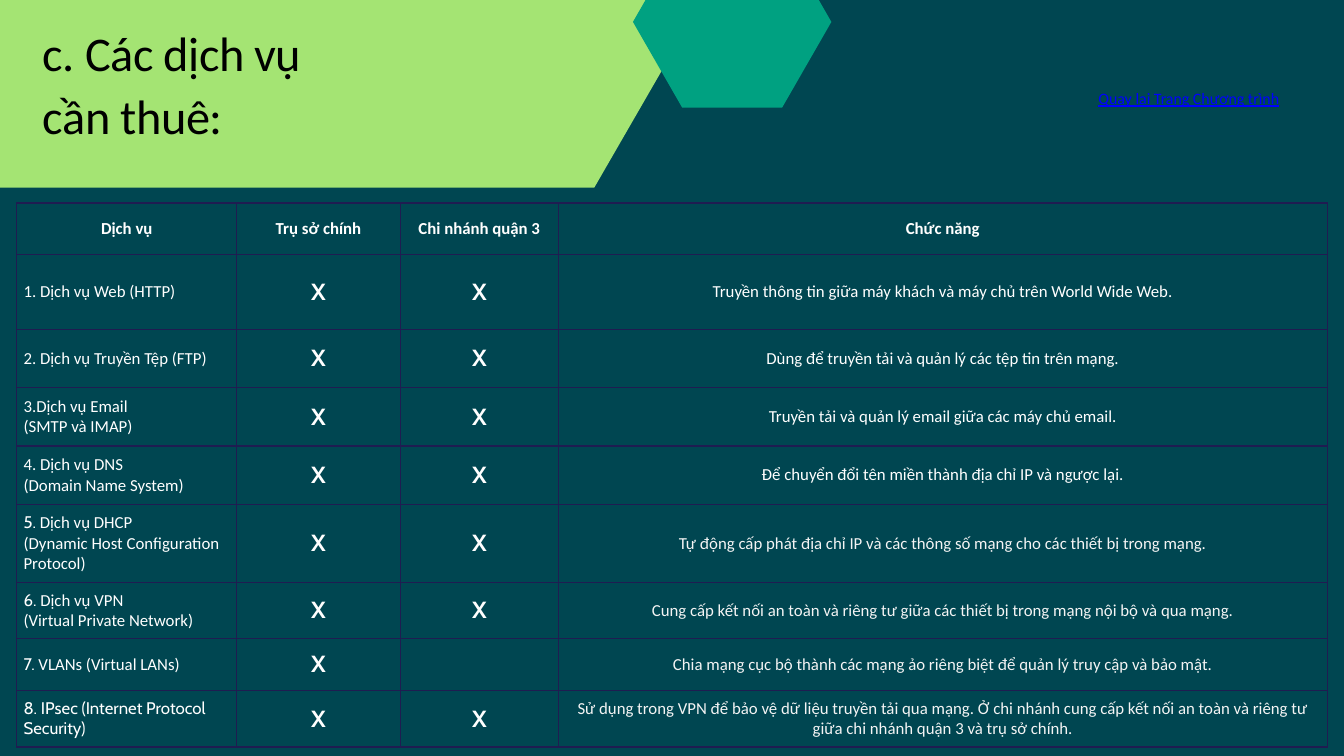
"""Build the slide listing the network services to rent for each office."""
from dataclasses import dataclass
from typing import Optional

from lxml import etree
from pptx import Presentation
from pptx.dml.color import RGBColor
from pptx.enum import text as t
from pptx.oxml import ns
from pptx.util import Pt

BACKGROUND = "004651"
BORDER = "1F1C51"
WHITE = "FFFFFF"
PALE = "F4F4F4"
LEFT, CENTER, RIGHT = t.PP_ALIGN.LEFT, t.PP_ALIGN.CENTER, t.PP_ALIGN.RIGHT


@dataclass(frozen=True)
class Hexagon:
    left: float
    top: float
    width: float
    height: float
    inset: float
    color: str


@dataclass(frozen=True)
class Style:
    size: float
    color: str = WHITE
    font: str = "Calibri"
    bold: bool = False
    underline: bool = False
    align: t.PP_ALIGN = CENTER
    leading: Optional[float] = None
    tracking: Optional[int] = None


@dataclass(frozen=True)
class Service:
    height: float
    lead: str
    name: str
    purpose: str
    color: str = PALE
    branch: str = "X"


HEXAGONS = [
    Hexagon(-229.7, -289.4, 1008, 490.3, 141.5, "A4E473"),
    Hexagon(678.2, -68.4, 212.6, 183.8, 52.8, "00A181"),
]
TITLE = Style(51.8, "000000", align=LEFT, leading=67.3, tracking=-50)
LINK = Style(17, "0000FF", underline=True, align=RIGHT, leading=23.8)
HEADING = Style(18, bold=True)
NAME = Style(18, align=LEFT)
MARK = Style(25, font="Cabin", bold=True)

HEADINGS = ["Dịch vụ", "Trụ sở chính", "Chi nhánh quận 3", "Chức năng"]
WIDTHS = [235.7, 175.2, 169.4, 823.7]
HEADING_HEIGHT = 55.4
SERVICES = [
    Service(79.9, "", "1. Dịch vụ Web (HTTP)",
            "Truyền thông tin giữa máy khách và máy chủ trên World Wide Web.", WHITE),
    Service(62.6, "", "2. Dịch vụ Truyền Tệp (FTP)",
            "Dùng để truyền tải và quản lý các tệp tin trên mạng.", WHITE),
    Service(62.6, "", "3.Dịch vụ Email\n(SMTP và IMAP)",
            "Truyền tải và quản lý email giữa các máy chủ email.", WHITE),
    Service(62.6, "", "4. Dịch vụ DNS\n(Domain Name System)",
            "Để chuyển đổi tên miền thành địa chỉ IP và ngược lại.", WHITE),
    Service(83.5, "5.", " Dịch vụ DHCP\n(Dynamic Host Configuration Protocol)",
            "Tự động cấp phát địa chỉ IP và các thông số mạng cho các thiết bị trong mạng."),
    Service(60.5, "6.", " Dịch vụ VPN\n(Virtual Private Network)",
            "Cung cấp kết nối an toàn và riêng tư giữa các thiết bị trong mạng nội bộ và qua mạng."),
    Service(55.4, "7. ", "VLANs (Virtual LANs)",
            "Chia mạng cục bộ thành các mạng ảo riêng biệt để quản lý truy cập và bảo mật.",
            branch=""),
    Service(60.5, "8. IPsec (Internet Protocol Security)", "",
            "Sử dụng trong VPN để bảo vệ dữ liệu truyền tải qua mạng. Ở chi nhánh cung cấp "
            "kết nối an toàn và riêng tư giữa chi nhánh quận 3 và trụ sở chính."),
]


def paint(fill, color: str) -> None:
    """Fill with one solid colour."""
    fill.solid()
    fill.fore_color.rgb = RGBColor.from_string(color)


def write(frame, wording: str, style: Style, lead: str = "") -> None:
    """Write paragraphs in one style, with an optional lead set in Cabin."""
    frame.text = lead + wording
    if lead:
        first = frame.paragraphs[0]
        rest = first.text[len(lead):]
        first.text = lead
        if rest:
            first.add_run().text = rest
    for para in frame.paragraphs:
        para.alignment = style.align
        if style.leading:
            para.line_spacing = Pt(style.leading)
            para.space_before = Pt(0)
        for span in para.runs:
            span.font.name = style.font
            span.font.size = Pt(style.size)
            span.font.bold = style.bold
            span.font.underline = style.underline
            span.font.color.rgb = RGBColor.from_string(style.color)
            if style.tracking:
                span.font._element.set("spc", str(style.tracking))
    if lead:
        frame.paragraphs[0].runs[0].font.name = "Cabin"


def prepare_frame(frame) -> None:
    """Make a wrapped, top-anchored text frame without insets."""
    frame.word_wrap = True
    frame.auto_size = t.MSO_AUTO_SIZE.NONE
    frame.vertical_anchor = t.MSO_ANCHOR.TOP
    frame.margin_left = frame.margin_right = Pt(0)
    frame.margin_top = frame.margin_bottom = Pt(0)


def draw_hexagon(page, hexagon: Hexagon) -> None:
    """Draw a flat-topped hexagon."""
    left, right = hexagon.left, hexagon.left + hexagon.width
    top, bottom = hexagon.top, hexagon.top + hexagon.height
    middle = (top + bottom) / 2
    inner_left, inner_right = left + hexagon.inset, right - hexagon.inset
    corners = [(inner_left, top), (inner_right, top), (right, middle),
               (inner_right, bottom), (inner_left, bottom), (left, middle)]
    points = [(Pt(x), Pt(y)) for x, y in corners]
    builder = page.shapes.build_freeform(*points[0])
    builder.add_line_segments(points[1:], close=True)
    shape = builder.convert_to_shape()
    shape.shadow.inherit = False
    paint(shape.fill, hexagon.color)
    shape.line.fill.background()


def format_cell(cell) -> None:
    """Set the borders, fill, margins and anchor of a table cell."""
    properties = cell._tc.get_or_add_tcPr()
    for side in ("lnL", "lnR", "lnT", "lnB"):
        line = etree.SubElement(properties, ns.qn(f"a:{side}"), w=str(Pt(1.5)))
        solid = etree.SubElement(line, ns.qn("a:solidFill"))
        etree.SubElement(solid, ns.qn("a:srgbClr"), val=BORDER)
    paint(cell.fill, BACKGROUND)
    cell.margin_left = cell.margin_right = Pt(7.2)
    cell.margin_top = cell.margin_bottom = Pt(7.2)
    cell.vertical_anchor = t.MSO_ANCHOR.MIDDLE


def draw_services(page) -> None:
    """Draw the table of services."""
    heights = [HEADING_HEIGHT] + [service.height for service in SERVICES]
    table = page.shapes.add_table(len(heights), len(WIDTHS), Pt(18), Pt(217.4),
                                  Pt(sum(WIDTHS)), Pt(sum(heights))).table
    table.first_row = table.horz_banding = False
    for column, width in zip(table.columns, WIDTHS):
        column.width = Pt(width)
    for row, height in zip(table.rows, heights):
        row.height = Pt(height)
    for cell in table.iter_cells():
        format_cell(cell)
    for index, heading in enumerate(HEADINGS):
        write(table.cell(0, index).text_frame, heading, HEADING)
    for index, service in enumerate(SERVICES, start=1):
        name, office, branch, purpose = [cell.text_frame for cell in table.rows[index].cells]
        write(name, service.name, NAME, service.lead)
        write(office, "X", MARK)
        write(branch, service.branch, MARK)
        write(purpose, service.purpose, Style(18, service.color))


def main() -> None:
    """Build and save the deck."""
    deck = Presentation()
    deck.slide_width, deck.slide_height = Pt(1440), Pt(810)
    page = deck.slides.add_slide(deck.slide_layouts[5])
    paint(page.background.fill, BACKGROUND)
    for hexagon in HEXAGONS:
        draw_hexagon(page, hexagon)
    title = page.shapes.title
    title.element.getparent().append(title.element)
    title.left, title.top, title.width, title.height = Pt(46), Pt(20), Pt(610.6), Pt(198.7)
    prepare_frame(title.text_frame)
    write(title.text_frame, "c. Các dịch vụ\ncần thuê:", TITLE)
    box = page.shapes.add_textbox(Pt(1139), Pt(91.4), Pt(231.8), Pt(21.6))
    prepare_frame(box.text_frame)
    write(box.text_frame, "Quay lại Trang Chương trình", LINK)
    draw_services(page)
    deck.save("out.pptx")


if __name__ == "__main__":
    main()
